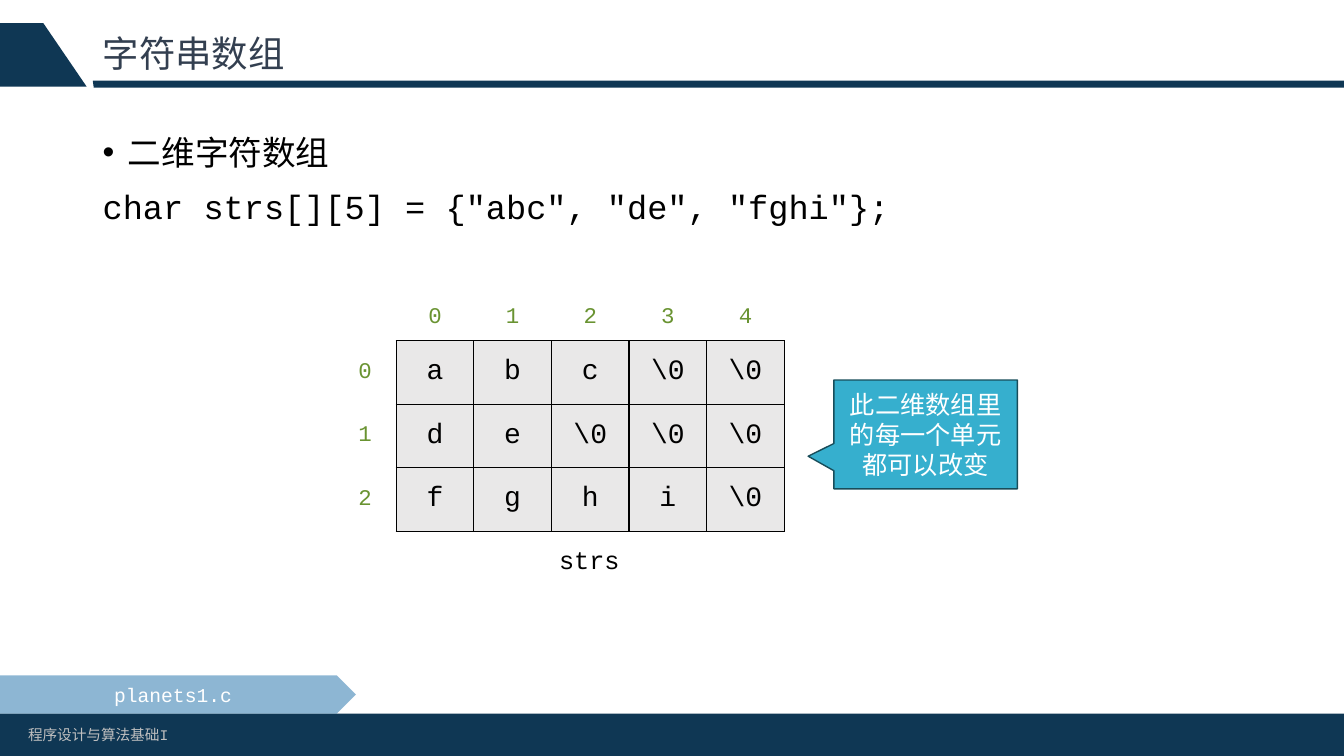
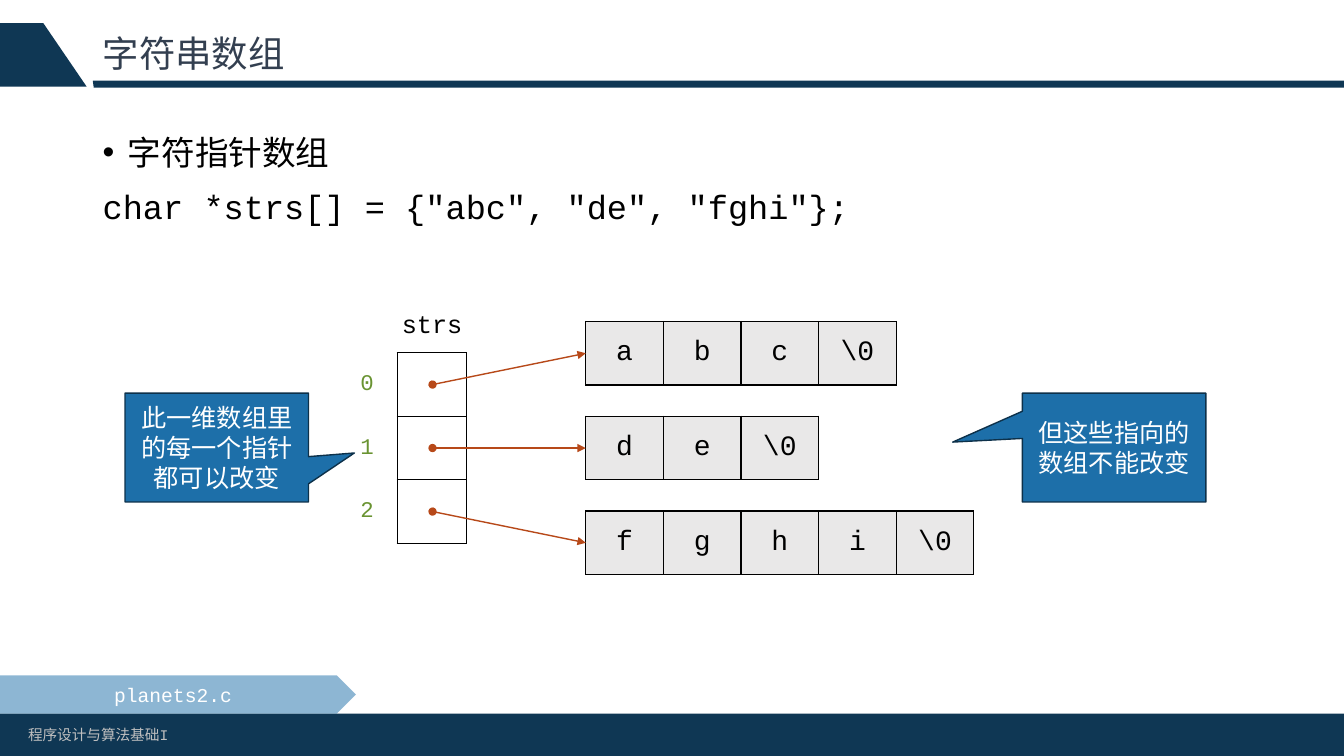
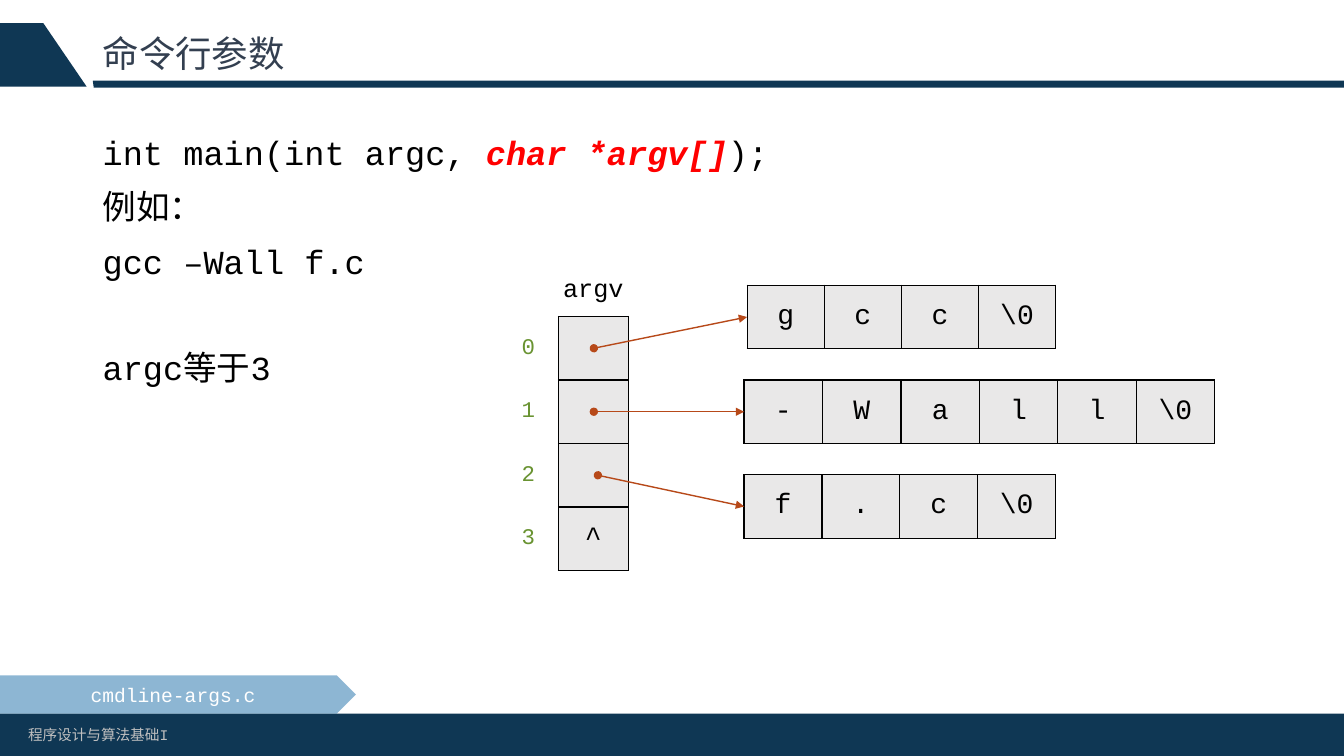
from dataclasses import dataclass

from lxml.etree import SubElement
from pptx import Presentation
from pptx.dml.color import RGBColor
from pptx.enum.shapes import MSO_CONNECTOR, MSO_SHAPE
from pptx.enum.text import MSO_ANCHOR, PP_ALIGN
from pptx.oxml.ns import qn
from pptx.util import Inches, Pt


@dataclass(frozen=True)
class Theme:
    font: str = "Courier New"
    navy: str = "0F3754"
    title: str = "333F50"
    footer: str = "BFBFBF"
    text: str = "000000"
    white: str = "FFFFFF"
    cell: str = "E9E8E8"
    index: str = "699331"
    arrow: str = "B74919"
    highlight: str = "FF0000"
    blue: str = "1D6FA9"
    blue_line: str = "0D314A"
    cyan: str = "36AFCE"
    cyan_line: str = "184D5A"
    title_size: float = 26
    body_size: float = 24
    cell_size: float = 20
    label_size: float = 18
    index_size: float = 16
    file_size: float = 14
    footer_size: float = 10.5
    body_gap: float = 10
    blank_line_gap: float = 47


THEME = Theme()
SLIDE_WIDTH, SLIDE_HEIGHT = 13.33, 7.5
COLUMN, ROW = 0.77, 0.63
INDEX_WIDTH = 0.64


@dataclass(frozen=True)
class TextRow:
    """A C string in a pointer diagram, placed relative to the pointer column."""
    cells: list
    width: float
    offset: float = 1.87
    arrow_start: float = 0.35


def color(value):
    return RGBColor.from_string(value)


def c_string(text, length=0):
    """Split text into characters, padded with at least one terminator."""
    return list(text) + ["\\0"] * max(1, length - len(text))


def write(paragraph, text, size=THEME.body_size, fill=THEME.text, bold=False,
          italic=False, align=None, before=None, spacing=None, bullet=False):
    """Append a run and format it together with its paragraph."""
    if bullet:
        properties = paragraph._p.get_or_add_pPr()
        properties.set("marL", str(Inches(0.25)))
        properties.set("indent", str(Inches(-0.25)))
        SubElement(properties, qn("a:buFont")).set("typeface", "Arial")
        SubElement(properties, qn("a:buChar")).set("char", "•")
    if align is not None:
        paragraph.alignment = align
    if before is not None:
        paragraph.space_before = Pt(before)
    if spacing is not None:
        paragraph.line_spacing = spacing
    run = paragraph.add_run()
    run.text = text
    font = run.font
    font.name, font.size, font.bold, font.italic = THEME.font, Pt(size), bold, italic
    font.color.rgb = color(fill)
    run_properties = run._r.get_or_add_rPr()
    run_properties.set("lang", "zh-CN")
    SubElement(run_properties, qn("a:ea")).set("typeface", THEME.font)


def add_text_box(slide, left, top, width, height, anchor=MSO_ANCHOR.TOP):
    box = slide.shapes.add_textbox(*map(Inches, (left, top, width, height)))
    frame = box.text_frame
    frame.word_wrap = True
    frame.vertical_anchor = anchor
    return frame


def paint(shape, fill, line=None):
    shape.shadow.inherit = False
    shape.fill.solid()
    shape.fill.fore_color.rgb = color(fill)
    if line:
        shape.line.color.rgb = color(line)
        shape.line.width = Pt(1)
    else:
        shape.line.fill.background()


def add_shape(slide, kind, left, top, width, height, fill, line=None):
    shape = slide.shapes.add_shape(kind, *map(Inches, (left, top, width, height)))
    paint(shape, fill, line)
    return shape


def label_shape(shape, text, size):
    frame = shape.text_frame
    frame.word_wrap = True
    frame.vertical_anchor = MSO_ANCHOR.MIDDLE
    write(frame.paragraphs[0], text, size=size, fill=THEME.white, align=PP_ALIGN.CENTER)


def add_polygon(slide, points, fill):
    start, *others = [(Inches(x), Inches(y)) for x, y in points]
    builder = slide.shapes.build_freeform(*start)
    builder.add_line_segments(others, close=True)
    paint(builder.convert_to_shape(), fill)


def set_borders(cell, visible):
    properties = cell._tc.get_or_add_tcPr()
    for position, side in enumerate(("lnL", "lnR", "lnT", "lnB")):
        border = properties.makeelement(qn(f"a:{side}"), {"w": str(Pt(1))})
        properties.insert(position, border)
        if visible:
            fill = SubElement(border, qn("a:solidFill"))
            SubElement(fill, qn("a:srgbClr")).set("val", THEME.text)
        else:
            SubElement(border, qn("a:noFill"))


def add_grid(slide, left, top, width, rows, row_height=ROW, fill=None,
             bordered=True, size=THEME.cell_size, text_color=THEME.text):
    """Draw rows of texts as a table with equal columns."""
    frame = slide.shapes.add_table(
        len(rows), len(rows[0]),
        *map(Inches, (left, top, width, row_height * len(rows))))
    table = frame.table
    table.first_row = table.horz_banding = False
    for column in table.columns:
        column.width = Inches(width / len(rows[0]))
    for row, texts in zip(table.rows, rows):
        row.height = Inches(row_height)
        for cell, text in zip(row.cells, texts):
            cell.vertical_anchor = MSO_ANCHOR.MIDDLE
            if fill:
                cell.fill.solid()
                cell.fill.fore_color.rgb = color(fill)
            else:
                cell.fill.background()
            set_borders(cell, bordered)
            if text:
                write(cell.text_frame.paragraphs[0], text, size=size,
                      fill=text_color, align=PP_ALIGN.CENTER)


def add_indices(slide, left, top, width, rows, row_height=ROW):
    add_grid(slide, left, top, width, rows, row_height, bordered=False,
             size=THEME.index_size, text_color=THEME.index)


def add_row_indices(slide, left, top, count):
    add_indices(slide, left, top, INDEX_WIDTH, [[str(i)] for i in range(count)])


def add_variable_name(slide, left, top, name):
    frame = add_text_box(slide, left, top, 1.13, 0.4)
    write(frame.paragraphs[0], name, size=THEME.label_size, align=PP_ALIGN.CENTER)


def add_arrow(slide, start, end):
    connector = slide.shapes.add_connector(
        MSO_CONNECTOR.STRAIGHT, *map(Inches, (*start, *end)))
    connector.line.color.rgb = color(THEME.arrow)
    connector.line.width = Pt(1)
    line = connector.line._get_or_add_ln()
    SubElement(line, qn("a:headEnd")).set("type", "oval")
    SubElement(line, qn("a:tailEnd")).set("type", "triangle")
    SubElement(connector._element.spPr, qn("a:effectLst"))


def add_callout(slide, left, top, text, tip, fill, line):
    callout = add_shape(slide, MSO_SHAPE.RECTANGULAR_CALLOUT,
                        left, top, 1.82, 1.08, fill, line)
    callout.adjustments[0], callout.adjustments[1] = tip
    label_shape(callout, text, THEME.label_size)


def array_diagram(slide, left, top, name, rows):
    """Draw a two-dimensional array with its indices and name."""
    columns = len(rows[0])
    width = COLUMN * columns
    add_grid(slide, left, top, width, rows, fill=THEME.cell)
    add_indices(slide, left, top - 0.46, width,
                [[str(i) for i in range(columns)]], row_height=0.46)
    add_row_indices(slide, left - 0.63, top, len(rows))
    add_variable_name(slide, left + 1.35, top + 1.97, name)


def pointer_diagram(slide, left, top, name, pointers, text_rows, fill=None):
    """Draw a column of pointers with arrows to separate strings."""
    add_grid(slide, left, top, 0.69, [[text] for text in pointers], fill=fill)
    add_row_indices(slide, left - 0.62, top, len(pointers))
    for i, row in enumerate(text_rows):
        row_left, row_top = left + row.offset, top - 0.31 + i * 0.94
        add_grid(slide, row_left, row_top, row.width, [row.cells], fill=THEME.cell)
        add_arrow(slide, (left + row.arrow_start, top + ROW * (i + 0.5)),
                  (row_left, row_top + ROW / 2))
    add_variable_name(slide, left - 0.22, top - 0.49, name)


def add_body(slide, paragraphs):
    """Fill the body from lists of (text, format) runs."""
    frame = add_text_box(slide, 0.92, 1.26, 11.5, 5.43)
    for i, runs in enumerate(paragraphs):
        paragraph = frame.add_paragraph() if i else frame.paragraphs[0]
        paragraph.alignment = PP_ALIGN.JUSTIFY
        if i:
            paragraph.space_before = Pt(THEME.body_gap)
        for text, options in runs:
            write(paragraph, text, **options)


def add_file_tag(slide, file_name):
    tag = add_shape(slide, MSO_SHAPE.PENTAGON, 0, 6.7, 3.53, 0.38, THEME.blue)
    tint = tag._element.spPr.find(qn("a:solidFill")).find(qn("a:srgbClr"))
    SubElement(tint, qn("a:alpha")).set("val", "50000")
    label_shape(tag, file_name, THEME.file_size)


def new_slide(presentation, title, body, file_name):
    """Add a slide with the shared bands, footer, title, body and file tag."""
    slide = presentation.slides.add_slide(presentation.slide_layouts[6])
    add_polygon(slide, [(0.92, 0.8), (SLIDE_WIDTH, 0.8),
                        (SLIDE_WIDTH, 0.87), (0.93, 0.87)], THEME.navy)
    add_polygon(slide, [(0.43, 0.23), (0.86, 0.86), (0, 0.86), (0, 0.23)], THEME.navy)
    add_shape(slide, MSO_SHAPE.RECTANGLE, 0, 7.08, SLIDE_WIDTH, 0.42, THEME.navy)
    footer = add_text_box(slide, 0.18, 7.15, 4.32, 0.29)
    write(footer.paragraphs[0], "程序设计与算法基础I",
          size=THEME.footer_size, fill=THEME.footer)
    heading = add_text_box(slide, 0.92, 0.23, 11.5, 0.64, MSO_ANCHOR.MIDDLE)
    write(heading.paragraphs[0], title, size=THEME.title_size,
          fill=THEME.title, spacing=0.9)
    add_body(slide, body)
    add_file_tag(slide, file_name)
    return slide


def array_slide(presentation):
    slide = new_slide(presentation, "字符串数组", [
        [("二维字符数组", {"bullet": True})],
        [('char strs[][5] = {"abc", "de", "fghi"};', {})],
    ], "planets1.c")
    array_diagram(slide, 3.93, 3.38, "strs",
                  [c_string(text, 5) for text in ("abc", "de", "fghi")])
    add_callout(slide, 8.27, 3.77, "此二维数组里的每一个单元都可以改变",
                (-0.64, 0.2), THEME.cyan, THEME.cyan_line)


def pointer_slide(presentation):
    slide = new_slide(presentation, "字符串数组", [
        [("字符指针数组", {"bullet": True})],
        [('char *strs[] = {"abc", "de", "fghi"};', {})],
    ], "planets2.c")
    rows = [TextRow(c_string(text), COLUMN * (len(text) + 1))
            for text in ("abc", "de", "fghi")]
    pointer_diagram(slide, 3.94, 3.5, "strs", [""] * 3, rows)
    for left, text, tip in (
            (1.24, "此一维数组里的每一个指针都可以改变", (0.75, 0.05)),
            (10.14, "但这些指向的数组不能改变", (-0.88, -0.05))):
        add_callout(slide, left, 3.9, text, tip, THEME.blue, THEME.blue_line)


def arguments_slide(presentation):
    emphasis = {"fill": THEME.highlight, "bold": True, "italic": True}
    slide = new_slide(presentation, "命令行参数", [
        [("int main(int argc, ", {}), ("char *argv[]", emphasis), (");", {})],
        [("例如：", {})],
        [("gcc –Wall f.c", {})],
        [("argc等于3", {"before": THEME.blank_line_gap})],
    ], "cmdline-args.c")
    pointer_diagram(slide, 5.54, 3.14, "argv", ["", "", "", "^"], [
        TextRow(c_string("gcc"), 3.06),
        TextRow(c_string("-Wall"), 4.67, offset=1.84),
        TextRow(c_string("f.c"), 3.09, offset=1.84, arrow_start=0.39),
    ], fill=THEME.cell)


def main():
    presentation = Presentation()
    presentation.slide_width = Inches(SLIDE_WIDTH)
    presentation.slide_height = Inches(SLIDE_HEIGHT)
    for build in (array_slide, pointer_slide, arguments_slide):
        build(presentation)
    presentation.save("out.pptx")


if __name__ == "__main__":
    main()
